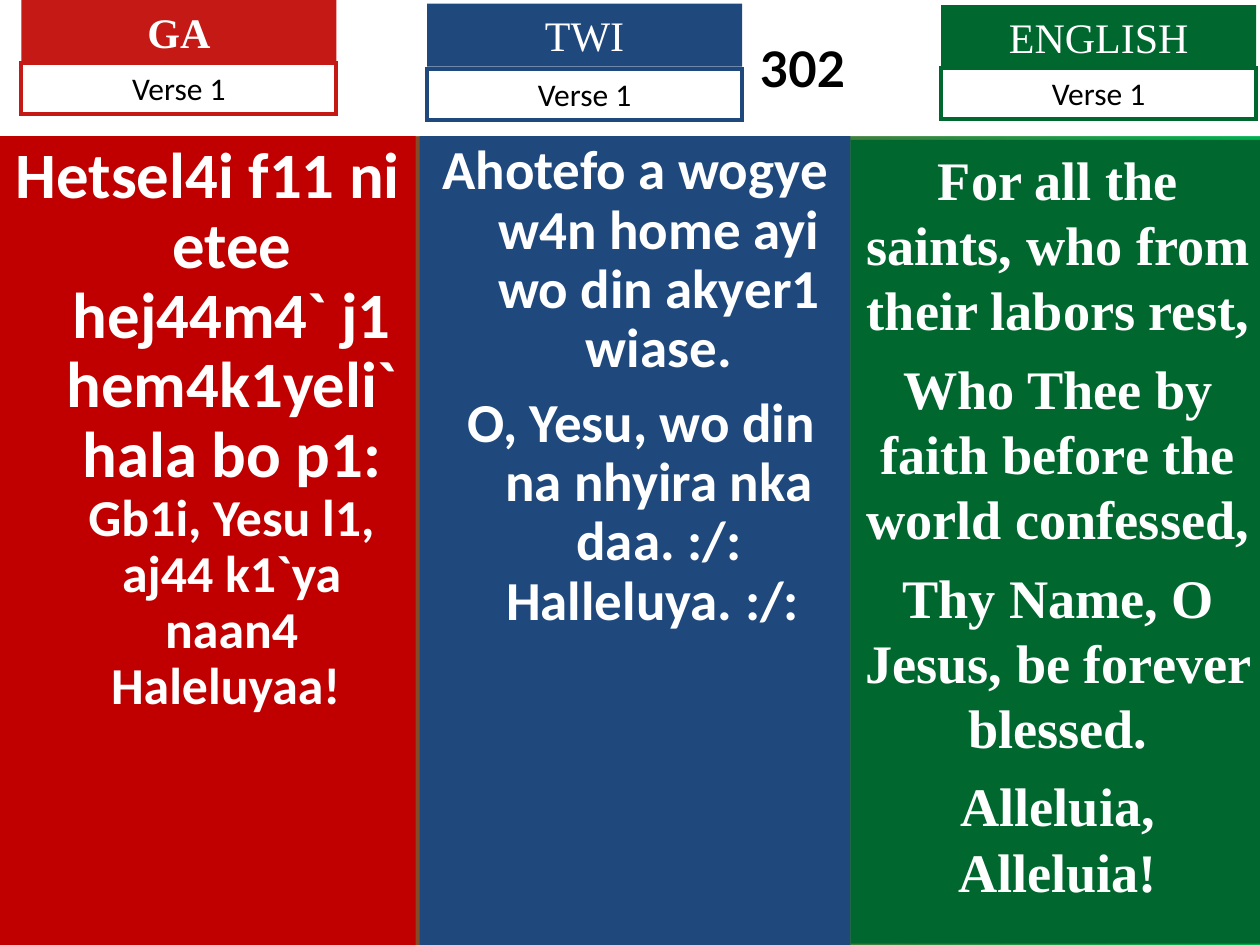
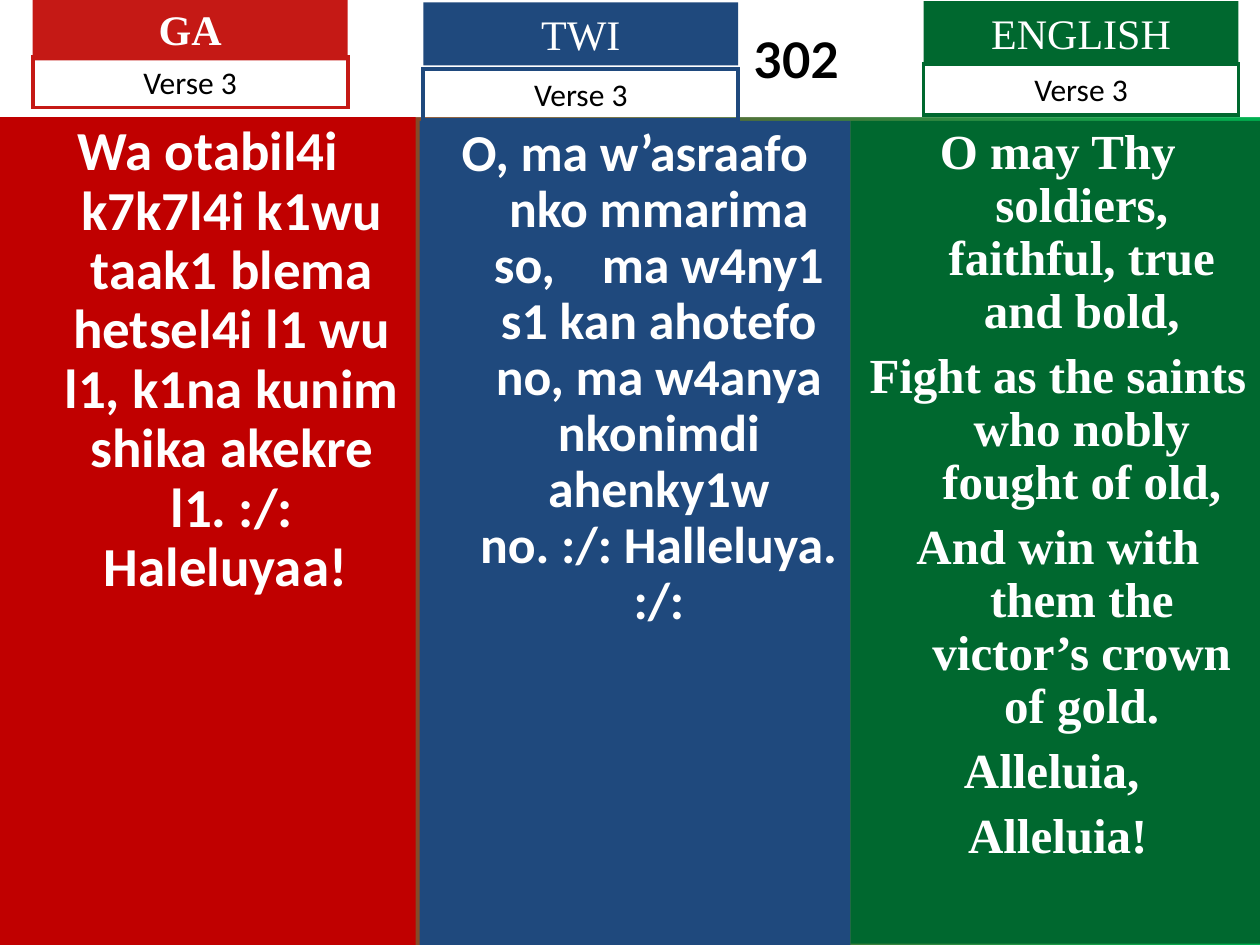
from dataclasses import dataclass
from typing import NamedTuple

from lxml.etree import SubElement
from pptx import Presentation
from pptx.dml.color import RGBColor
from pptx.enum.shapes import MSO_SHAPE
from pptx.enum.text import MSO_ANCHOR, MSO_AUTO_SIZE, PP_ALIGN
from pptx.oxml.ns import qn
from pptx.util import Emu, Inches, Pt

SLIDE_WIDTH, SLIDE_HEIGHT = Inches(10), Inches(7.5)
GRID_COLUMNS, GRID_ROWS = 100, 75
TITLE_ONLY = 5
WHITE, BLACK = "FFFFFF", "000000"
RED, GREEN_EDGE = "C51915", "00B050"
SERIF, SANS, TITLE_FONT = "Times New Roman", "Calibri", "Lato"
TAG_WIDTH, NAME_ROWS, VERSE_ROWS = 25, 5, 4.04


class Area(NamedTuple):
    column: float
    row: float
    columns: float
    rows: float


class Span(NamedTuple):
    text: str
    size: float
    spacing: int = 0


@dataclass(frozen=True)
class Language:
    name: str
    tag_color: str
    panel_color: str
    panel_column: float
    panel_columns: float
    font: str
    bold_tag: bool = False


@dataclass(frozen=True)
class Lyrics:
    language: Language
    tag_column: float
    name_row: float
    verse_row: float
    panel_row: float
    panel_end: float
    paras: list[list[Span]]
    space_before: float = 0
    hanging: bool = True
    inset_top: float = 0.05


@dataclass(frozen=True)
class Verse:
    label: str
    title_rows: float
    title_shift: float
    lyrics: list[Lyrics]


GA = Language("GA", RED, "C00000", 0, 33, SANS, True)
TWI = Language("TWI", "1F497D", "1F497D", 33.3, 34.2, SANS)
ENGLISH = Language("ENGLISH", "00682F", "00682F", 67.5, 32.9, SERIF)

HYMN_NUMBER = "302"
VERSES = [
    Verse("Verse 1", 10.8, 27.4, [
        Lyrics(GA, 1.7, 0, 5, 10.8, 75, [[
            Span("Hetsel4i f11 ni etee hej44m4` j1 hem4k1yeli` hala bo p1: ", 37),
            Span("Gb1i, Yesu l1, aj44 k1`ya naan4 Haleluyaa! ", 29.6),
        ]]),
        Lyrics(TWI, 33.9, 0.3, 5.5, 10.8, 75, [
            [Span("Ahotefo a wogye w4n home ayi wo din akyer1 wiase.", 31.4)],
            [Span(" O, Yesu, wo din na nhyira nka daa. :/: Halleluya. :/: ", 31.4)],
        ], 8.5),
        Lyrics(ENGLISH, 74.7, 0.4, 5.4, 11.1, 74.9, [
            [Span("For all the saints, who from their labors rest,", 31)],
            [Span("Who Thee by faith before the world confessed,", 31)],
            [Span("Thy Name, O Jesus, be forever blessed.", 31)],
            [Span("Alleluia, Alleluia!", 31)],
        ], 7.7, hanging=False, inset_top=0.05),
    ]),
    Verse("Verse 3", 9.3, 26.4, [
        Lyrics(GA, 2.6, -0.2, 4.5, 9.3, 75, [[
            Span("Wa otabil4i k7k7l4i k1wu taak1 blema hetsel4i l1 wu l1, "
                 "k1na kunim shika akekre l1. :/: Haleluyaa! ", 31.4),
        ]]),
        Lyrics(TWI, 33.6, 0.2, 5.5, 9.6, 75, [[
            Span("O, ma w’asraafo nko mmarima so,", 29.6),
            Span(" ", 29.6, 2000),
            Span("ma w4ny1 s1 kan ahotefo no, ma w4anya nkonimdi "
                 "ahenky1w no. :/: Halleluya. :/:", 29.6),
        ]]),
        Lyrics(ENGLISH, 73.3, 0.1, 5.1, 9.6, 74.9, [
            [Span("O may Thy soldiers, faithful, true and bold,", 28)],
            [Span("Fight as the saints who nobly fought of old,", 28)],
            [Span("And win with them the victor’s crown of gold.", 28)],
            [Span("Alleluia, ", 28)],
            [Span("Alleluia!", 28)],
        ], 7),
    ]),
]


def color(value: str) -> RGBColor:
    return RGBColor.from_string(value)


def across(columns: float) -> Emu:
    return Emu(round(SLIDE_WIDTH * columns / GRID_COLUMNS))


def down(rows: float) -> Emu:
    return Emu(round(SLIDE_HEIGHT * rows / GRID_ROWS))


def add_span(para, span: Span, font: str, tint: str, bold: bool) -> None:
    run = para.add_run()
    run.text = span.text
    run.font.name, run.font.size = font, Pt(span.size)
    run.font.bold = bold
    run.font.color.rgb = color(tint)
    if span.spacing:
        run.font._element.set("spc", str(span.spacing))


def add_box(page, area: Area, fill: str | None = None, line: str | None = None):
    box = page.shapes.add_shape(
        MSO_SHAPE.RECTANGLE, across(area.column), down(area.row),
        across(area.columns), down(area.rows))
    box.shadow.inherit = False
    if fill:
        box.fill.solid()
        box.fill.fore_color.rgb = color(fill)
    else:
        box.fill.background()
    if line:
        box.line.color.rgb = color(line)
        box.line.width = Pt(2.25)
        SubElement(box.line._get_or_add_ln(), qn("a:miter"), lim="800000")
    else:
        box.line.fill.background()
    frame = box.text_frame
    frame.word_wrap = True
    frame.vertical_anchor = MSO_ANCHOR.TOP
    frame.paragraphs[0].alignment = PP_ALIGN.CENTER
    return frame


def add_panel(page, lyrics: Lyrics) -> None:
    language = lyrics.language
    area = Area(language.panel_column, lyrics.panel_row,
                language.panel_columns, lyrics.panel_end - lyrics.panel_row)
    frame = add_box(page, area, fill=language.panel_color)
    frame.margin_top = Inches(lyrics.inset_top)
    for index, spans in enumerate(lyrics.paras):
        para = frame.add_paragraph() if index else frame.paragraphs[0]
        para.alignment = PP_ALIGN.CENTER
        if index:
            para.space_before = Pt(lyrics.space_before)
        if lyrics.hanging:
            para.line_spacing = 0.9
            indent = Inches(0.38)
            properties = para._p.get_or_add_pPr()
            properties.set("marL", str(indent))
            properties.set("indent", str(-indent))
        for span in spans:
            add_span(para, span, language.font, WHITE, True)


def add_tag(page, lyrics: Lyrics, label: str) -> None:
    language = lyrics.language
    name = add_box(page, Area(lyrics.tag_column, lyrics.name_row, TAG_WIDTH, NAME_ROWS),
                   fill=language.tag_color)
    add_span(name.paragraphs[0], Span(language.name, 24), SERIF, WHITE, language.bold_tag)
    verse = add_box(page, Area(lyrics.tag_column, lyrics.verse_row, TAG_WIDTH, VERSE_ROWS),
                    line=language.tag_color)
    add_span(verse.paragraphs[0], Span(label, 18), SANS, BLACK, False)


def set_title(page, verse: Verse) -> None:
    title = page.shapes.title
    title.left, title.top = 0, 0
    title.width, title.height = SLIDE_WIDTH, down(verse.title_rows)
    title.fill.solid()
    title.fill.fore_color.rgb = color(WHITE)
    frame = title.text_frame
    frame.auto_size = MSO_AUTO_SIZE.NONE
    frame.vertical_anchor = MSO_ANCHOR.MIDDLE
    frame.margin_left = across(verse.title_shift + 1)
    para = frame.paragraphs[0]
    para.alignment = PP_ALIGN.CENTER
    add_span(para, Span(HYMN_NUMBER, 28), TITLE_FONT, BLACK, True)


def set_background(master) -> None:
    fill = master.background.fill
    fill.gradient()
    fill.gradient_angle = 0
    for stop, tint, position in zip(fill.gradient_stops, (RED, GREEN_EDGE), (0, 1)):
        stop.color.rgb = color(tint)
        stop.position = position


def main() -> None:
    deck = Presentation()
    deck.slide_width, deck.slide_height = SLIDE_WIDTH, SLIDE_HEIGHT
    set_background(deck.slide_master)
    for verse in VERSES:
        page = deck.slides.add_slide(deck.slide_layouts[TITLE_ONLY])
        set_title(page, verse)
        for lyrics in verse.lyrics:
            add_panel(page, lyrics)
        for lyrics in verse.lyrics:
            add_tag(page, lyrics, verse.label)
    deck.save("out.pptx")


if __name__ == "__main__":
    main()
